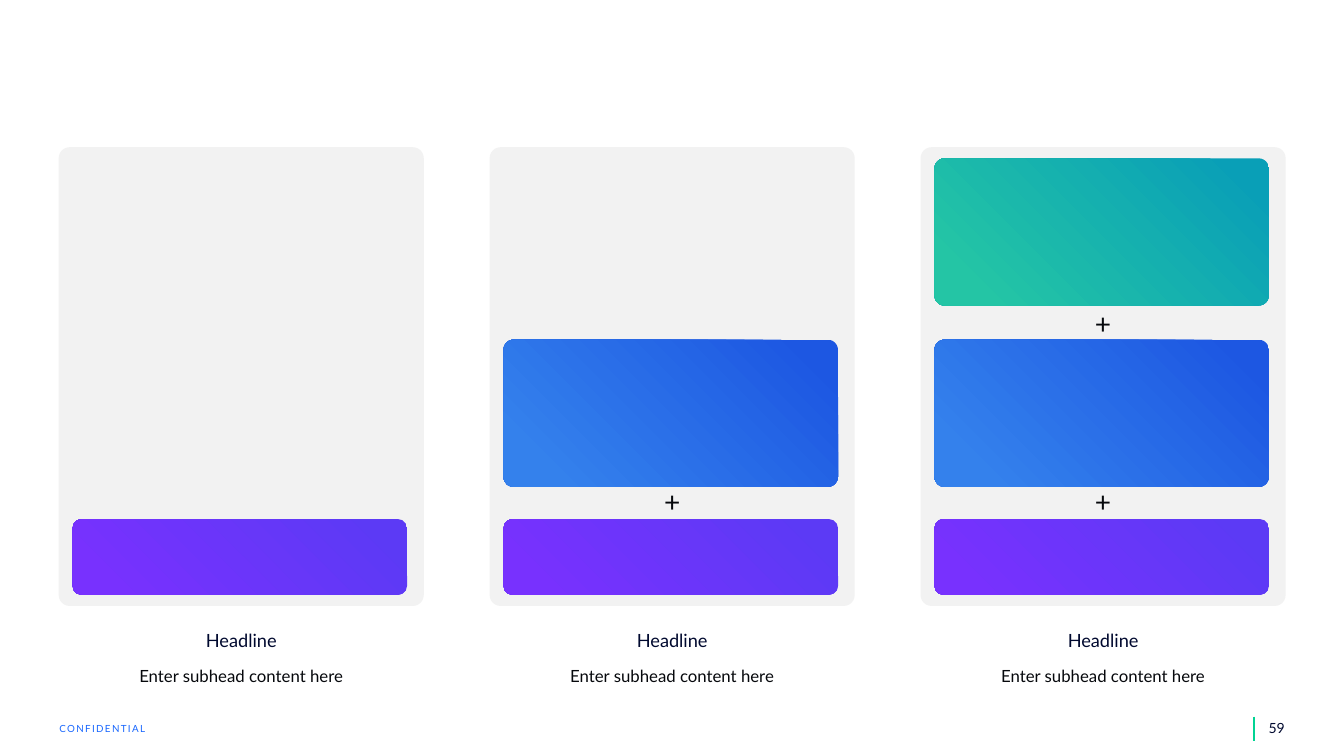
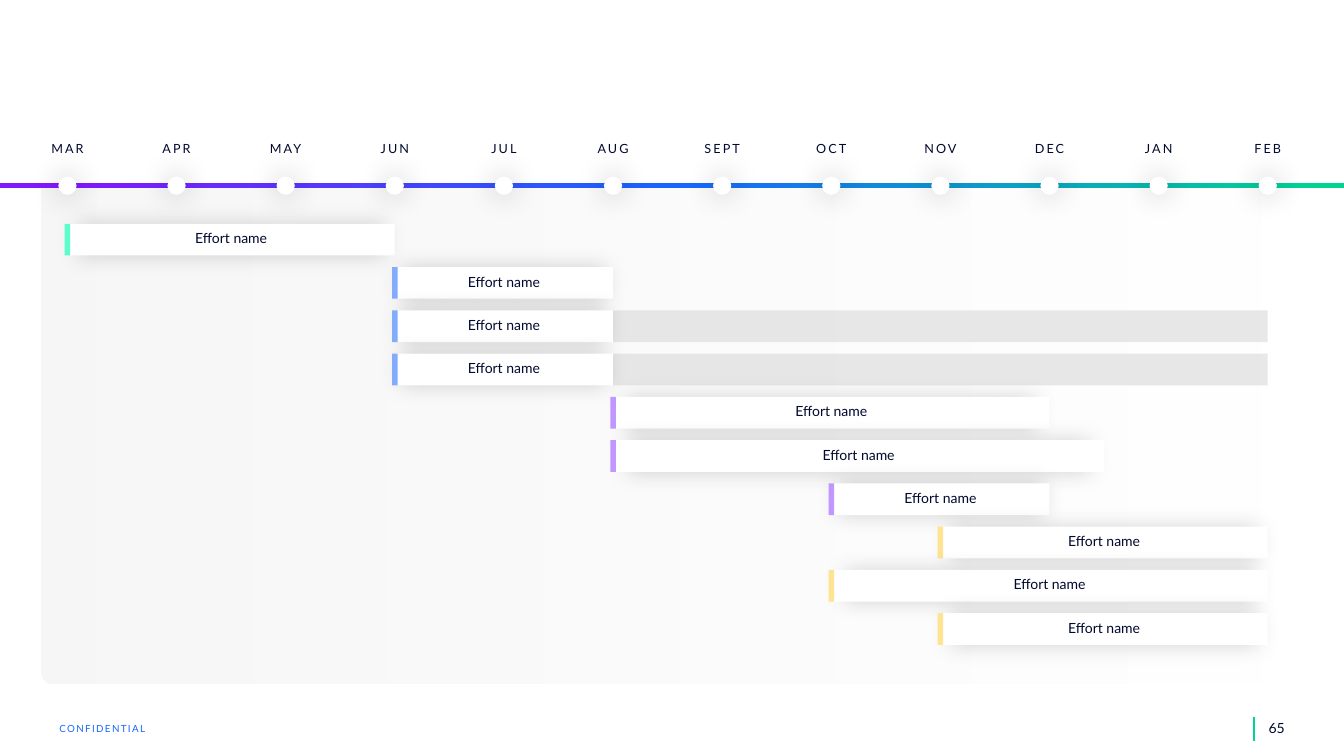
from pptx import Presentation
from pptx.dml.color import RGBColor as RGB
from pptx.enum.shapes import MSO_CONNECTOR as Link, MSO_SHAPE as Form
from pptx.enum.text import MSO_ANCHOR as Anchor, PP_ALIGN as Align
from pptx.oxml.ns import qn
from pptx.util import Cm, Pt
from lxml.etree import SubElement

NAVY = RGB(0x00, 0x09, 0x2F)
INK = RGB(0x06, 0x08, 0x0C)
BLUE = RGB(0x18, 0x66, 0xFE)
GREEN = RGB(0x01, 0xD3, 0x93)
VIOLET = RGB(0x7F, 0x1A, 0xFE)
WHITE = RGB(0xFF, 0xFF, 0xFF)
BLACK = RGB(0x00, 0x00, 0x00)
PALE = RGB(0xF2, 0xF2, 0xF2)
GREY = RGB(0xD9, 0xD9, 0xD9)
MINT = RGB(0x5B, 0xFD, 0xCA)
SKY = RGB(0x84, 0xAC, 0xFC)
LILAC = RGB(0xC0, 0x97, 0xFE)
SAND = RGB(0xFE, 0xE3, 0x92)

TILES = (
    (13.08, 1.91, 0.12, ((8, RGB(0x5C, 0x3A, 0xF5)), (90, RGB(0x78, 0x31, 0xFE)))),
    (8.56, 3.71, 0.07, ((8, RGB(0x1D, 0x57, 0xE2)), (88, RGB(0x34, 0x81, 0xEC)))),
    (3.99, 3.71, 0.07, ((8, RGB(0x09, 0x9F, 0xB7)), (89, RGB(0x24, 0xC5, 0xA5)))),
)
PLUS = (12.09, 7.59)
MONTHS = "MAR APR MAY JUN JUL AUG SEPT OCT NOV DEC JAN FEB".split()
TASKS = (
    (0, 3, MINT), (3, 5, SKY), (3, 5, SKY), (3, 5, SKY),
    (5, 9, LILAC), (5, 9.5, LILAC), (7, 9, LILAC),
    (8, 11, SAND), (7, 11, SAND), (8, 11, SAND),
)
LONG = (2, 3)


def add(root, name, **atts):
    return SubElement(root, qn("a:" + name), {k: str(v) for k, v in atts.items()})


def tint(root, color, alpha=100):
    node = add(root, "srgbClr", val=color)
    if alpha < 100:
        add(node, "alpha", val=alpha * 1000)


class Deck:
    font = "Lato"

    def __init__(self):
        self.deck = Presentation()
        self.deck.slide_width = Cm(33.87)
        self.deck.slide_height = Cm(19.05)

    def page(self, number):
        self.slide = self.deck.slides.add_slide(self.deck.slide_layouts[6])
        self.line(31.6, 18.06, 18.67, GREEN)
        self.text("CONFIDENTIAL", 1.5, 18.21, 3.38, 0.3, 7, BLUE,
                  align=Align.LEFT, pad=(0, 0), gap=1)
        self.text(str(number), 31.72, 18.01, 1.14, 0.69, 10,
                  align=Align.LEFT, anchor=Anchor.MIDDLE)

    def line(self, x, top, end, color):
        link = self.slide.shapes.add_connector(
            Link.STRAIGHT, Cm(x), Cm(top), Cm(x), Cm(end))
        link.line.color.rgb = color
        link.line.width = Pt(2)
        add(link._element.spPr, "effectLst")

    def shape(self, form, x, y, w, h, fill, alpha=100, round=()):
        item = self.slide.shapes.add_shape(form, Cm(x), Cm(y), Cm(w), Cm(h))
        item.shadow.inherit = False
        item.line.fill.background()
        for i, value in enumerate(round):
            item.adjustments[i] = value
        item.fill.solid()
        item.fill.fore_color.rgb = fill
        if alpha < 100:
            color = item._element.spPr.find(qn("a:solidFill"))[0]
            add(color, "alpha", val=alpha * 1000)
        return item

    def blend(self, form, x, y, w, h, stops, angle=0, round=()):
        item = self.shape(form, x, y, w, h, WHITE, round=round)
        item.fill.gradient()
        grad = item._element.spPr.find(qn("a:gradFill"))
        grad.clear()
        grad.set("rotWithShape", "1")
        items = add(grad, "gsLst")
        for place, *color in stops:
            tint(add(items, "gs", pos=place * 1000), *color)
        add(grad, "lin", ang=angle * 60000, scaled=0)
        return item

    def shade(self, item, alpha, blur, scale=100):
        root = item._element.spPr.find(qn("a:effectLst"))
        cast = add(root, "outerShdw", blurRad=int(Pt(blur)), dist=0, dir=0,
                   sx=scale * 1000, sy=100000, algn="ctr", rotWithShape=0)
        tint(cast, BLACK, alpha)

    def label(self, item, words, size, color=NAVY, align=Align.CENTER,
              anchor=Anchor.TOP, pad=(0.25, 0.13), gap=0, lead=None):
        side, edge = Cm(pad[0]), Cm(pad[1])
        frame = item.text_frame
        para = frame.paragraphs[0]
        run = para.add_run()
        run.text = words
        run.font.color.rgb = color
        for part, values in (
            (frame, dict(word_wrap=True, vertical_anchor=anchor,
                         margin_left=side, margin_right=side,
                         margin_top=edge, margin_bottom=edge)),
            (para, dict(alignment=align, line_spacing=lead)),
            (run.font, dict(name=self.font, size=Pt(size))),
        ):
            for key, value in values.items():
                setattr(part, key, value)
        if gap:
            run._r.get_or_add_rPr().set("spc", str(int(gap * 100)))

    def text(self, words, x, y, w, h, size, color=NAVY, **style):
        box = self.slide.shapes.add_textbox(Cm(x), Cm(y), Cm(w), Cm(h))
        self.label(box, words, size, color, **style)

    def task(self, x, y, w, color):
        bar = self.shape(Form.RECTANGLE, x, y, w, 0.8, WHITE)
        self.shade(bar, 17, 16, 94)
        self.label(bar, "Effort name", 10, pad=(0.25, 0.2), lead=0.9)
        self.shape(Form.RECTANGLE, x - 0.07, y, 0.14, 0.8, color)


def stacks(deck):
    deck.page(59)
    wide = 9.2
    for i in range(3):
        x = 1.48 + i * 10.86
        deck.shape(Form.ROUNDED_RECTANGLE, x, 3.71, wide, 11.56, PALE, round=(0.03,))
        for y in PLUS[:i]:
            deck.text("+", x, y, wide, 1.12, 20, INK)
        for y, h, curve, stops in TILES[:i + 1]:
            deck.blend(Form.ROUNDED_RECTANGLE, x + 0.35, y, 8.43, h, stops, 135, (curve,))
        deck.text("Headline", x, 15.72, wide, 0.81, 13)
        deck.text("Enter subhead content here", x, 16.64, wide, 0.76, 12, INK)


def roadmap(deck):
    deck.page(65)
    left, step = 1.7, 2.75
    panel = deck.blend(Form.ROUND_2_SAME_RECTANGLE, 1.04, 4.62, 31.57, 12.6,
                       ((0, GREY, 0), (100, GREY, 22)), round=(0.02, 0))
    panel.rotation = 180
    rows = [5.64 + i * 1.09 for i in range(len(TASKS))]
    for i in LONG:
        x = left + TASKS[i][1] * step
        deck.shape(Form.RECTANGLE, x, rows[i], left + 11 * step - x, 0.8, GREY, 60)
    deck.blend(Form.RECTANGLE, 0, 4.62, 33.87, 0.13,
               ((6, VIOLET), (50, BLUE), (98, GREEN)))
    for i, month in enumerate(MONTHS):
        x = left + i * step
        dot = deck.shape(Form.OVAL, x - 0.23, 4.45, 0.46, 0.46, WHITE)
        deck.shade(dot, 27, 21.3)
        deck.text(month, x - 0.8, 3.56, 1.6, 0.38, 9,
                  anchor=Anchor.MIDDLE, pad=(0, 0), gap=1.5)
    for y, (start, end, color) in zip(rows, TASKS):
        deck.task(left + start * step, y, (end - start) * step, color)


def main():
    deck = Deck()
    stacks(deck)
    roadmap(deck)
    deck.deck.save("out.pptx")


if __name__ == "__main__":
    main()
